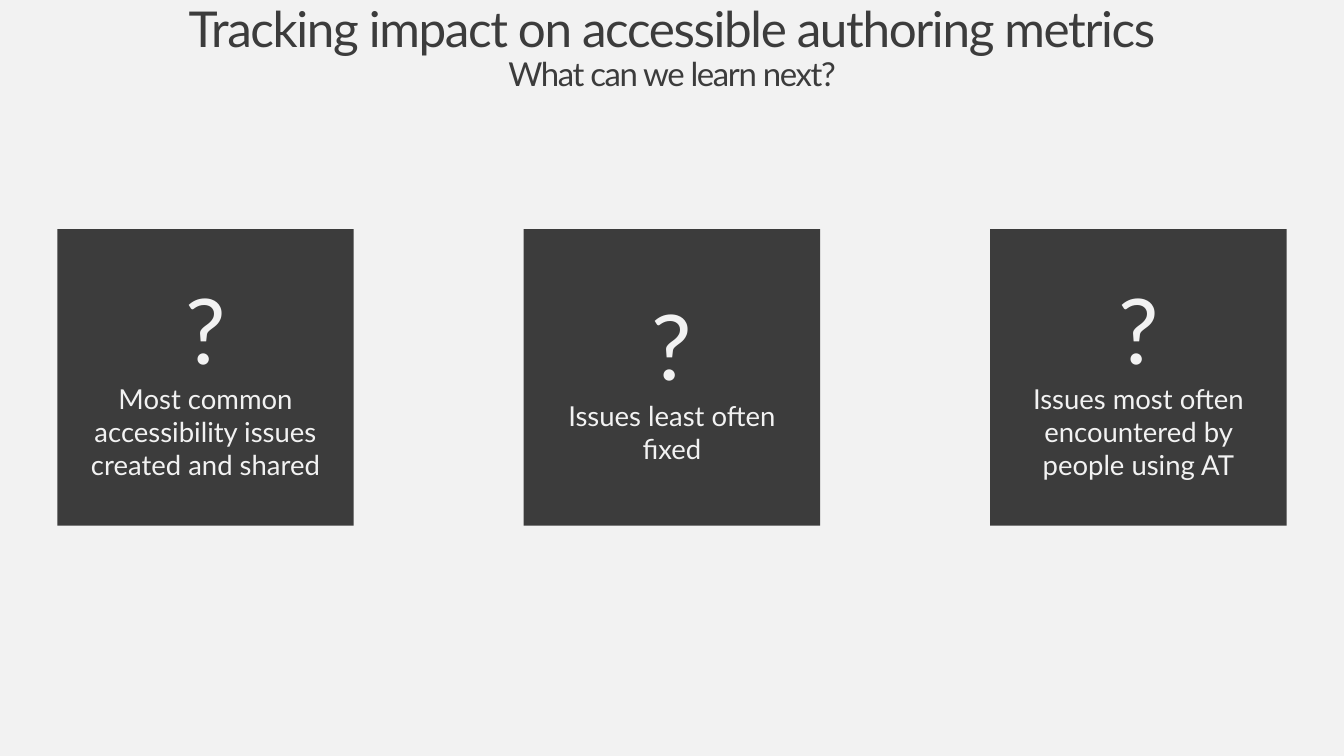
"""Build a slide with three open questions about accessible authoring metrics."""
from dataclasses import dataclass

from pptx import Presentation
from pptx.dml.color import RGBColor
from pptx.enum.shapes import MSO_SHAPE
from pptx.enum.text import MSO_ANCHOR, MSO_AUTO_SIZE, PP_ALIGN
from pptx.util import Inches, Pt

TITLE = "Tracking impact on accessible authoring metrics"
SUBTITLE = "What can we learn next?"
MARK = "?"
QUESTIONS = [
    "Most common accessibility issues created and shared",
    "Issues least often fixed",
    "Issues most often encountered by people using AT",
]


@dataclass(frozen=True)
class Theme:
    font: str = "Lato"
    light: RGBColor = RGBColor(0xF2, 0xF2, 0xF2)
    dark: RGBColor = RGBColor(0x3C, 0x3C, 0x3C)
    title: int = 36
    subtitle: int = 24
    mark: int = 66
    question: int = 20
    tracking: int = -100


THEME = Theme()
SLIDE_WIDTH, SLIDE_HEIGHT = 13.6, 7.65
TITLE_HEIGHT = 1
CARD_SIDE = 3
MARGIN = 0.58
CARD_TOP = 2.32
CARD_STEP = (SLIDE_WIDTH - 2 * MARGIN - CARD_SIDE) / (len(QUESTIONS) - 1)
FRAME_FORMAT = {
    "word_wrap": True,
    "auto_size": MSO_AUTO_SIZE.NONE,
    "vertical_anchor": MSO_ANCHOR.MIDDLE,
    "margin_left": Inches(0.16),
    "margin_right": Inches(0.16),
    "margin_top": Inches(0.1),
    "margin_bottom": Inches(0.1),
}


def apply_format(target, values):
    for name, value in values.items():
        setattr(target, name, value)


def place(shape, left, top, width, height):
    box = {"left": left, "top": top, "width": width, "height": height}
    apply_format(shape, {name: Inches(value) for name, value in box.items()})


def add_run(paragraph, text, size, color):
    run = paragraph.add_run()
    run.text = text
    apply_format(run.font, {"name": THEME.font, "size": Pt(size)})
    run.font.color.rgb = color
    return run


def add_title(slide):
    title = slide.shapes.title
    place(title, 0, 0, SLIDE_WIDTH, TITLE_HEIGHT)
    apply_format(title.text_frame, FRAME_FORMAT)
    paragraph = title.text_frame.paragraphs[0]
    apply_format(paragraph, {"alignment": PP_ALIGN.CENTER, "line_spacing": 0.9})
    heading = add_run(paragraph, TITLE, THEME.title, THEME.dark)
    paragraph.add_line_break()
    subheading = add_run(paragraph, SUBTITLE, THEME.subtitle, THEME.dark)
    for run in (heading, subheading):
        run.font._element.set("spc", str(THEME.tracking))


def add_card(slide, column, question):
    left = MARGIN + column * CARD_STEP
    card = slide.shapes.add_shape(MSO_SHAPE.RECTANGLE, 0, 0, 0, 0)
    place(card, left, CARD_TOP, CARD_SIDE, CARD_SIDE)
    card.shadow.inherit = False
    card.fill.solid()
    card.fill.fore_color.rgb = THEME.dark
    card.line.fill.background()
    frame = card.text_frame
    apply_format(frame, FRAME_FORMAT)
    lines = [
        (frame.paragraphs[0], MARK, THEME.mark),
        (frame.add_paragraph(), question, THEME.question),
    ]
    for paragraph, text, size in lines:
        paragraph.alignment = PP_ALIGN.CENTER
        add_run(paragraph, text, size, THEME.light)


def main():
    presentation = Presentation()
    presentation.slide_width = Inches(SLIDE_WIDTH)
    presentation.slide_height = Inches(SLIDE_HEIGHT)
    title_only = presentation.slide_layouts[5]
    slide = presentation.slides.add_slide(title_only)
    slide.background.fill.solid()
    slide.background.fill.fore_color.rgb = THEME.light
    add_title(slide)
    for column, question in enumerate(QUESTIONS):
        add_card(slide, column, question)
    presentation.save("out.pptx")


if __name__ == "__main__":
    main()
